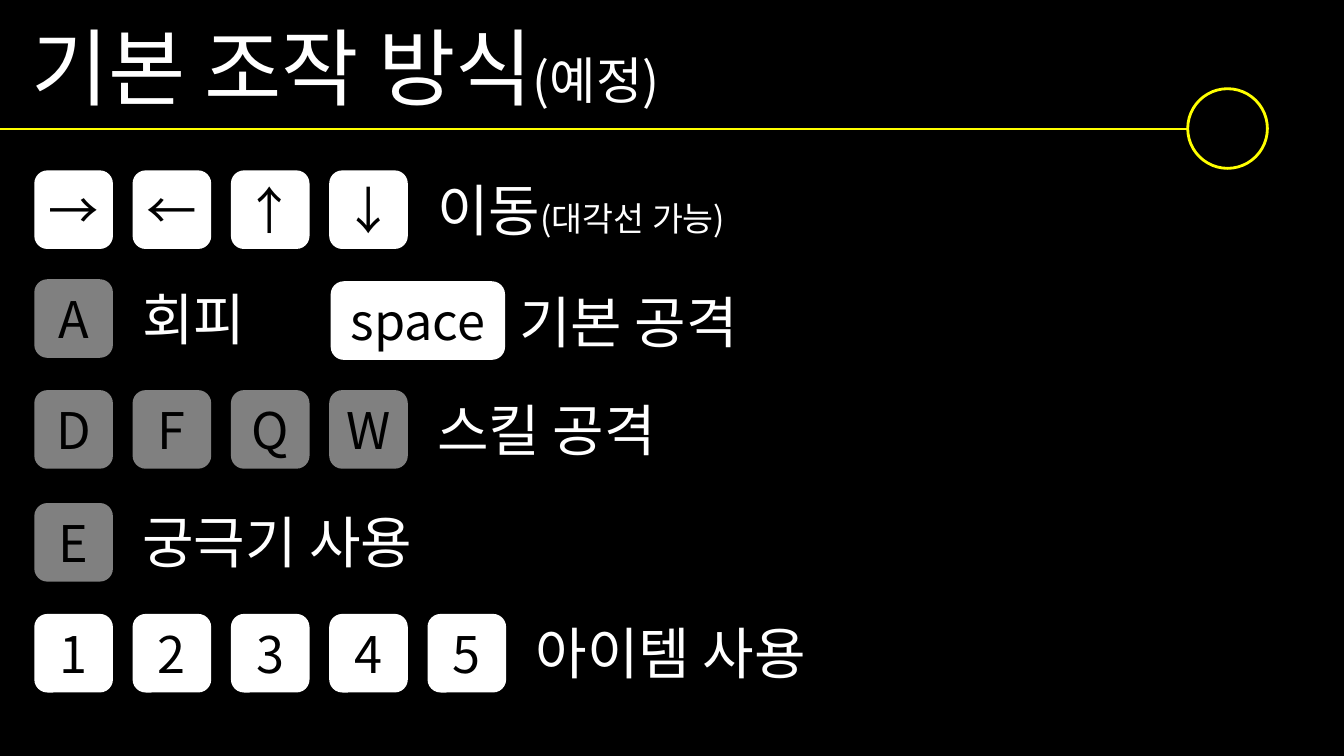
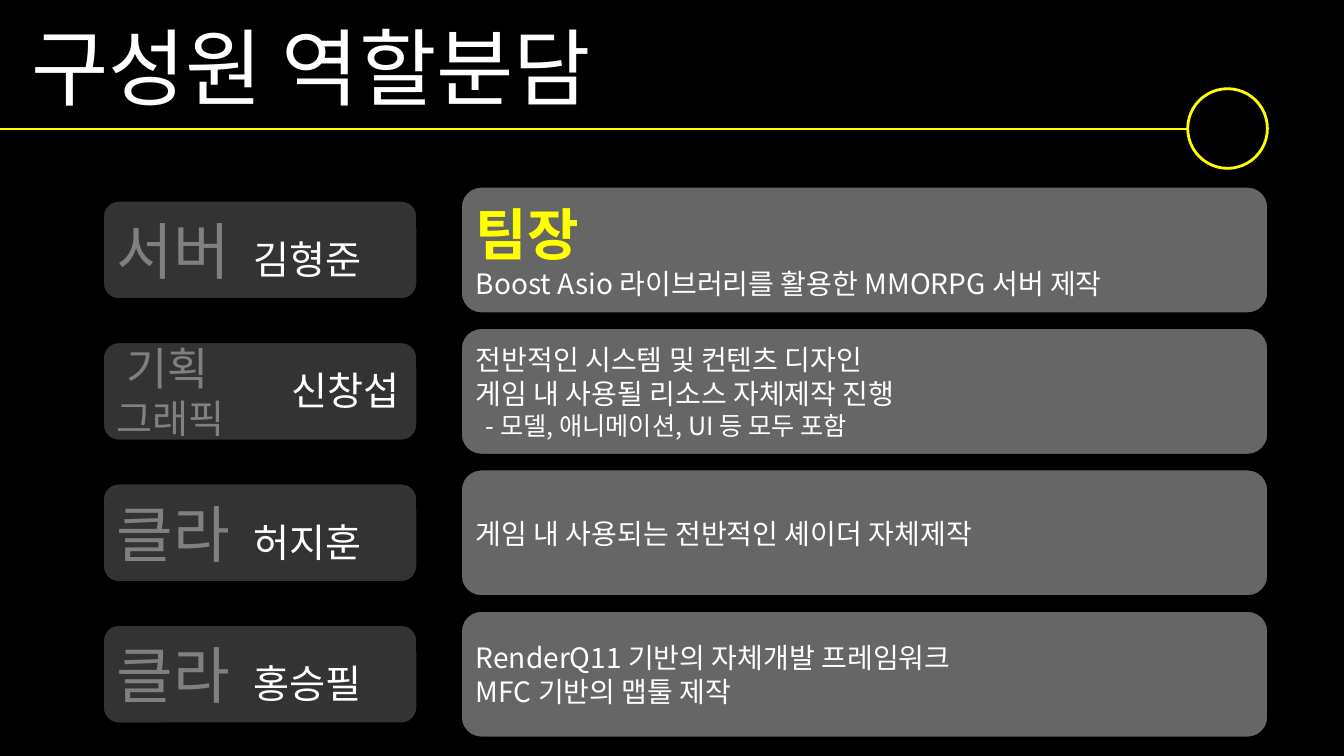
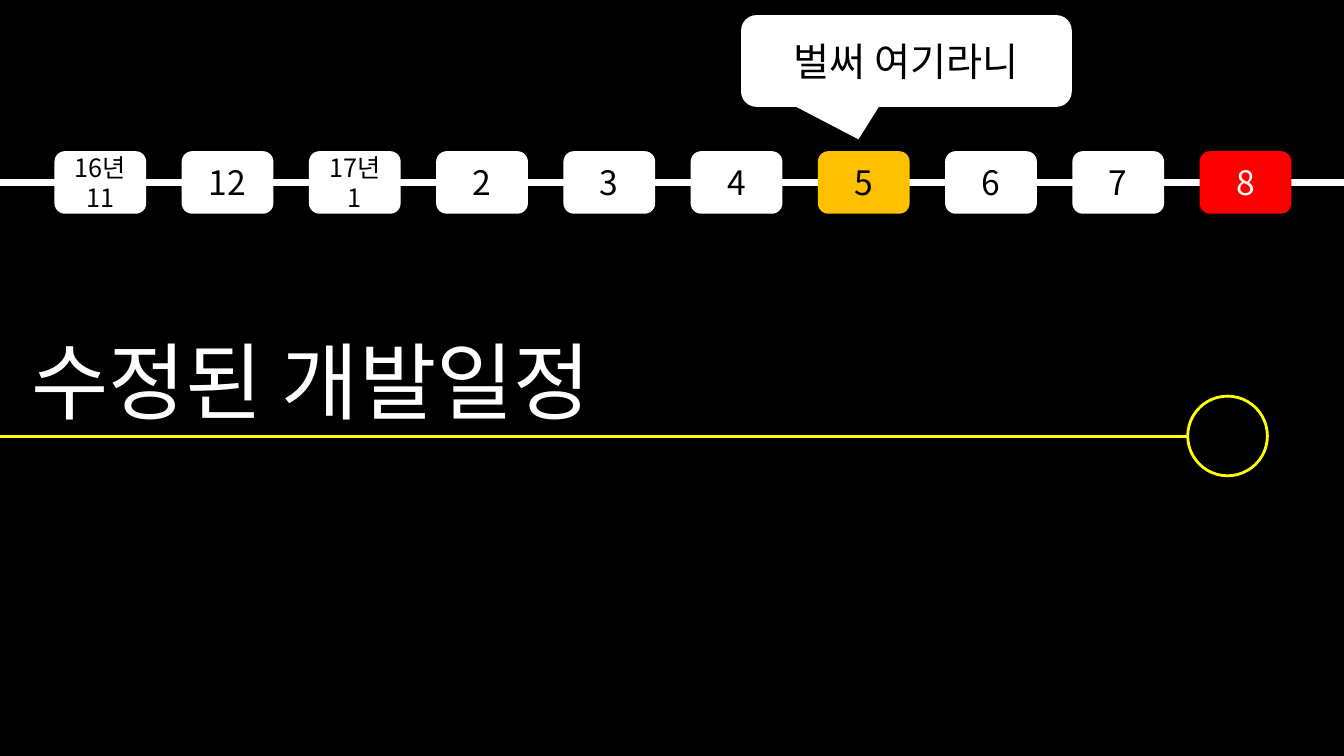
from lxml import etree
from pptx import Presentation
from pptx.dml.color import RGBColor
from pptx.enum import shapes, text
from pptx.oxml import ns
from pptx.util import Inches, Pt

FONT = "Noto Sans CJK KR"
BLACK = RGBColor(0x00, 0x00, 0x00)
WHITE = RGBColor(0xFF, 0xFF, 0xFF)
GRAY = RGBColor(0x80, 0x80, 0x80)
YELLOW = RGBColor(0xFF, 0xFF, 0x00)
AMBER = RGBColor(0xFF, 0xC0, 0x00)
RED = RGBColor(0xFF, 0x00, 0x00)
LEFT, CENTER = text.PP_ALIGN.LEFT, text.PP_ALIGN.CENTER
MIDDLE = text.MSO_ANCHOR.MIDDLE
ROUNDED = shapes.MSO_SHAPE.ROUNDED_RECTANGLE
LABEL = {
    "word_wrap": True,
    "vertical_anchor": text.MSO_ANCHOR.TOP,
    "auto_size": text.MSO_AUTO_SIZE.SHAPE_TO_FIT_TEXT,
}
CARD = {"word_wrap": True, "vertical_anchor": MIDDLE}
KEY = CARD | dict.fromkeys(["margin_left", "margin_right", "margin_top", "margin_bottom"], 0)


def write(shape, paragraphs, frame_format, alignment=LEFT):
    frame = shape.text_frame
    for name, value in frame_format.items():
        setattr(frame, name, value)
    for index, runs in enumerate(paragraphs):
        paragraph = frame.add_paragraph() if index else frame.paragraphs[0]
        paragraph.alignment = alignment
        for words, size, color, *bold in runs:
            run = paragraph.add_run()
            run.text = words
            run.font.name = FONT
            run.font.size = Pt(size)
            run.font.bold = bool(bold)
            run.font.color.rgb = color
            east_asian = etree.SubElement(run.font._element, ns.qn("a:ea"))
            east_asian.set("typeface", FONT)


def add_box(slide, kind, box, fill=None, line=None, width=2, alpha=None):
    shape = slide.shapes.add_shape(kind, *map(Inches, box))
    shape.shadow.inherit = False
    if fill is None:
        shape.fill.background()
    else:
        shape.fill.solid()
        shape.fill.fore_color.rgb = fill
    if alpha:
        color = shape._element.spPr.find(".//" + ns.qn("a:srgbClr"))
        etree.SubElement(color, ns.qn("a:alpha")).set("val", str(alpha * 1000))
    if line is None:
        shape.line.fill.background()
    else:
        shape.line.color.rgb = line
        shape.line.width = Pt(width)
    return shape


presentation = Presentation()
presentation.slide_width = Inches(13.33)
presentation.slide_height = Inches(7.5)
background = presentation.slide_master.background.fill
background.solid()
background.fore_color.rgb = BLACK

headers = [
    ([("기본 조작 방식", 60, WHITE), ("(예정)", 36, WHITE)], 0.1, 1.28),
    ([("구성원 역할분담", 60, WHITE)], 0.1, 1.28),
    ([("수정된 개발일정", 60, WHITE)], 3.22, 4.33),
]
rules = [(line_y, 11.78, YELLOW, 2) for _, _, line_y in headers]
slides = []
for (title_runs, title_top, line_y), title_rule in zip(headers, rules):
    slide = presentation.slides.add_slide(presentation.slide_layouts[5])
    slides.append(slide)
    title = slide.shapes.title
    position = {"left": 0.21, "top": title_top, "width": 9.44, "height": 1.11}
    for name, value in position.items():
        setattr(title, name, Inches(value))
    write(title, [title_runs], LABEL)
    slide_rules = [title_rule]
    if slide is slides[0] or len(slides) == 2:
        pass
    else:
        slide_rules.append((1.81, 13.33, WHITE, 5))
    for y, end, color, width in slide_rules:
        rule = slide.shapes.add_connector(
            shapes.MSO_CONNECTOR.STRAIGHT, 0, Inches(y), Inches(end), Inches(y)
        )
        rule.line.color.rgb = color
        rule.line.width = Pt(width)
        etree.SubElement(rule._element.spPr, ns.qn("a:effectLst"))
    add_box(slide, shapes.MSO_SHAPE.OVAL, (11.78, line_y - 0.4, 0.79, 0.79), line=YELLOW)

controls, roles, schedule = slides

KEY_LEFT, KEY_SIZE, KEY_STEP = 0.34, 0.78, 0.975
key_rows = [
    (1.69, "→←↑↓", WHITE, [("이동", 40, WHITE), ("(대각선 가능)", 24, WHITE)]),
    (2.77, "A", GRAY, [("회피", 40, WHITE)]),
    (3.87, "DFQW", GRAY, [("스킬 공격", 40, WHITE)]),
    (4.99, "E", GRAY, [("궁극기 사용", 40, WHITE)]),
    (6.09, "12345", WHITE, [("아이템 사용", 40, WHITE)]),
]
keys = [(3.28, 2.79, 1.73, "space", WHITE)]
labels = [(5.05, 2.8, 2.91, [("기본 공격", 40, WHITE)])]
for top, letters, fill, label_runs in key_rows:
    for column, letter in enumerate(letters):
        keys.append((KEY_LEFT + KEY_STEP * column, top, KEY_SIZE, letter, fill))
    label_left = KEY_LEFT + KEY_STEP * len(letters)
    labels.append((label_left, top, 1.96 if letters == "A" else 5.69, label_runs))
for left, top, width, letter, fill in keys:
    key = add_box(controls, ROUNDED, (left, top, width, KEY_SIZE), fill)
    write(key, [[(letter, 36, BLACK)]], KEY, CENTER)
for left, top, width, label_runs in labels:
    label = controls.shapes.add_textbox(*map(Inches, (left, top, width, 0.77)))
    write(label, [label_runs], LABEL)

members = [
    (
        [[("서버", 44, GRAY), ("\t김형준", 28, WHITE)]],
        [
            [("팀장", 40, YELLOW, True)],
            [("Boost Asio 라이브러리를 활용한 MMORPG 서버 제작", 20, WHITE)],
        ],
    ),
    (
        [[("기획", 32, GRAY)], [("그래픽", 28, GRAY)]],
        [
            [("전반적인 시스템 및 컨텐츠 디자인", 20, WHITE)],
            [("게임 내 사용될 리소스 자체제작 진행", 20, WHITE)],
            [("- 모델, 애니메이션, UI 등 모두 포함", 18, WHITE)],
        ],
    ),
    (
        [[("클라", 44, GRAY), ("\t허지훈", 28, WHITE)]],
        [[("게임 내 사용되는 전반적인 셰이더 자체제작", 20, WHITE)]],
    ),
    (
        [[("클라", 44, GRAY), ("\t홍승필", 28, WHITE)]],
        [
            [("RenderQ11 기반의 자체개발 프레임워크", 20, WHITE)],
            [("MFC 기반의 맵툴 제작", 20, WHITE)],
        ],
    ),
]
for row, (role_text, task_text) in enumerate(members):
    top = 1.84 + 1.403 * row
    role = add_box(roles, ROUNDED, (1.01, top + 0.14, 3.14, 1), GRAY, BLACK, 3, 40)
    task = add_box(roles, ROUNDED, (4.56, top, 8.03, 1.28), WHITE, BLACK, 3, 40)
    write(role, role_text, CARD)
    write(task, task_text, CARD)
    first = role.text_frame.paragraphs[0]._p.get_or_add_pPr()
    if len(role_text) == 1:
        tabs = etree.SubElement(first, ns.qn("a:tabLst"))
        tab = etree.SubElement(tabs, ns.qn("a:tab"))
        tab.set("pos", str(Inches(1.36)))
        tab.set("algn", "l")
    else:
        detail = task.text_frame.paragraphs[-1]._p.get_or_add_pPr()
        for properties in (first, detail):
            properties.set("marL", str(Inches(0.1)))
        planner = roles.shapes.add_textbox(*map(Inches, (2.58, top + 0.34, 1.69, 0.57)))
        write(planner, [[("신창섭", 28, WHITE)]], LABEL, CENTER)

months = [["16년", "11"], ["12"], ["17년", "1"], *([str(month)] for month in range(2, 9))]
month_colors = {"5": (AMBER, BLACK), "8": (RED, WHITE)}
for column, lines in enumerate(months):
    fill, color = month_colors.get(lines[0], (WHITE, BLACK))
    size = 24 if len(lines) == 1 else 18
    month = add_box(schedule, ROUNDED, (0.54 + 1.262 * column, 1.5, 0.91, 0.62), fill)
    write(month, [[(line, size, color)] for line in lines], KEY, CENTER)

callout = add_box(
    schedule, shapes.MSO_SHAPE.ROUNDED_RECTANGULAR_CALLOUT, (7.35, 0.15, 3.28, 0.91), WHITE
)
for index, value in enumerate((-0.145, 0.854, 0.167)):
    callout.adjustments[index] = value
write(callout, [[("벌써 여기라니", 28, BLACK)]], CARD, CENTER)

presentation.save("out.pptx")
